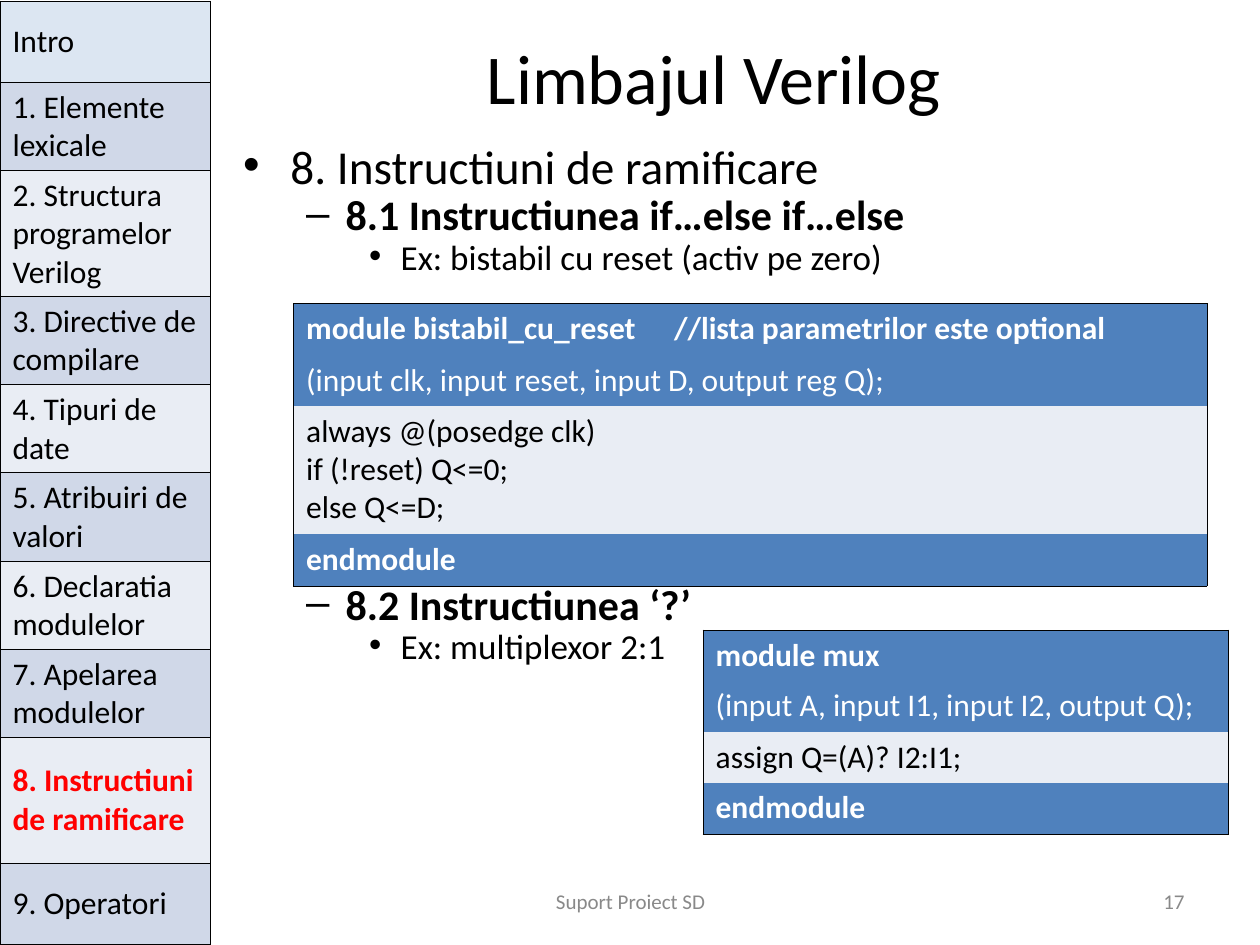
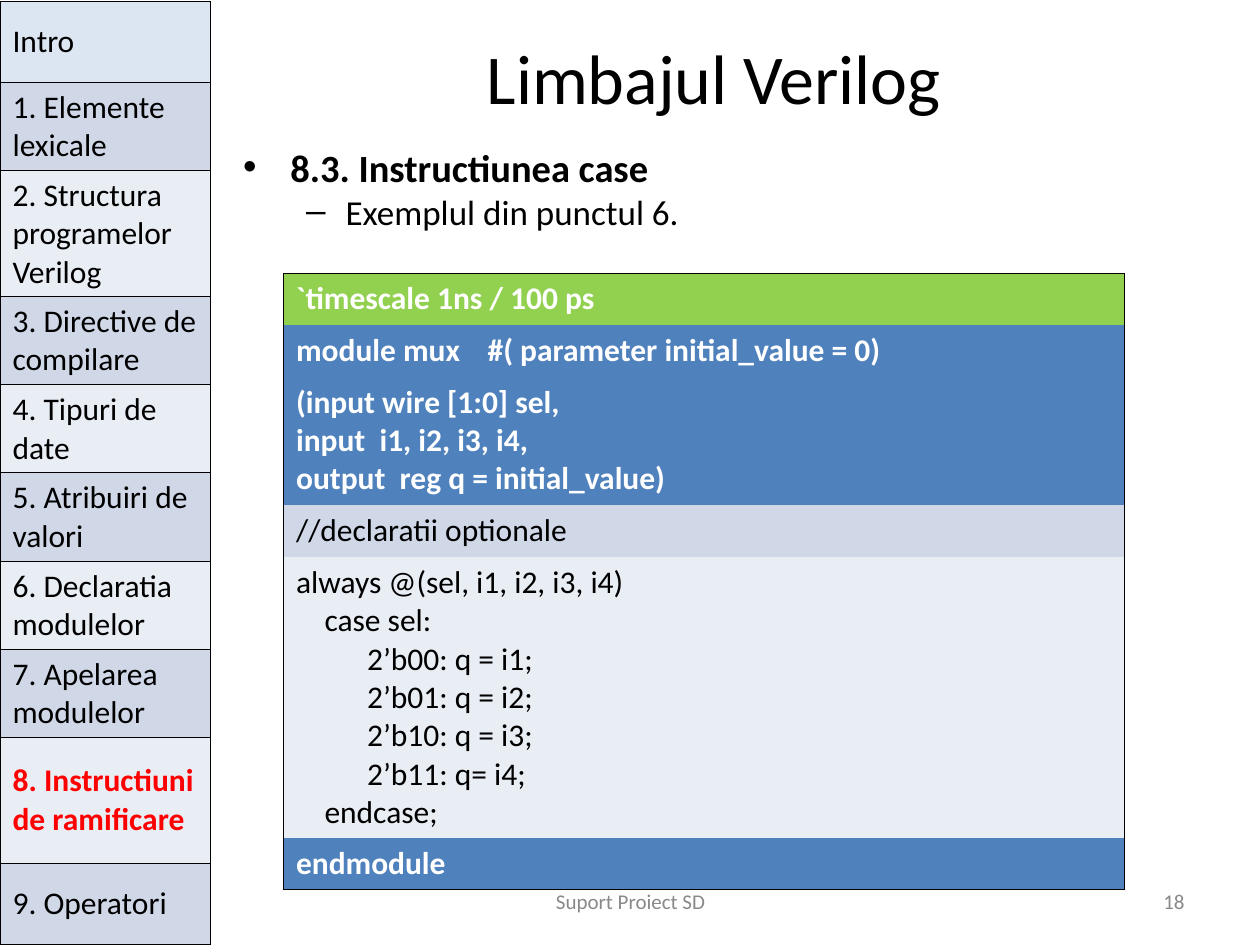
from pptx import Presentation
from pptx.dml.color import RGBColor
from pptx.enum.text import MSO_ANCHOR as Anchor, MSO_AUTO_SIZE as AutoSize, PP_ALIGN as Align
from pptx.oxml.ns import qn
from pptx.util import Inches, Pt
from lxml.etree import SubElement

FONT = "Calibri"
BLACK, WHITE, RED, GREY = "000000", "FFFFFF", "FF0000", "898989"
BLUE, GREEN, INTRO, BAND, PALE = "4F81BD", "92D050", "DCE6F2", "D0D8E8", "E9EDF4"
NO_STYLE = "{2D5ABB26-0587-4C30-8999-92F81FD0307C}"

# Sidebar chapters with row heights; the bands alternate below "Intro"
CHAPTERS = [
    ("Intro", 0.64), ("1. Elemente lexicale", 0.7),
    ("2. Structura programelor Verilog", 1), ("3. Directive de compilare", 0.7),
    ("4. Tipuri de date", 0.7), ("5. Atribuiri de valori", 0.7),
    ("6. Declaratia modulelor", 0.7), ("7. Apelarea modulelor", 0.7),
    ("8. Instructiuni de ramificare", 1), ("9. Operatori", 0.64),
]
CURRENT = 8
sidebar_rows = []
for number, (chapter, height) in enumerate(CHAPTERS):
    fill = INTRO if number == 0 else BAND if number % 2 else PALE
    current = number == CURRENT
    sidebar_rows.append(([chapter], height, fill, RED if current else BLACK, current))
SIDEBAR = (0, 0.01, [1.67], sidebar_rows)

# Code tables: left, top, column widths, rows (cells, height, fill, colour, bold)
END_ROW = (["endmodule"], 0.41, BLUE, WHITE, True)
FLIP_FLOP = (2.33, 2.41, [2.92, 4.33], [
    (["module bistabil_cu_reset", "//lista parametrilor este optional"], 0.41, BLUE, WHITE, True),
    (["(input clk, input reset, input D, output reg Q);"], 0.4, BLUE, WHITE, False),
    (["always @(posedge clk)\nif (!reset) Q<=0;\nelse Q<=D;"], 1.02, PALE, BLACK, False),
    END_ROW,
])
MUX = (5.58, 5, [4.17], [
    (["module mux"], 0.4, BLUE, WHITE, True),
    (["(input A, input I1, input I2, output Q);"], 0.41, BLUE, WHITE, False),
    (["assign Q=(A)? I2:I1;"], 0.4, PALE, BLACK, False),
    END_ROW,
])
CASE_CODE = """always @(sel, i1, i2, i3, i4)
    case sel:
          2’b00: q = i1;
          2’b01: q = i2;
          2’b10: q = i3;
          2’b11: q= i4;
    endcase;"""
CASE_MUX = (2.25, 2.17, [1.52, 5.15], [
    (["`timescale 1ns / 100 ps"], 0.41, GREEN, WHITE, True),
    (["module mux", "#( parameter initial_value = 0)"], 0.41, BLUE, WHITE, True),
    (["(input wire [1:0] sel,\ninput  i1, i2, i3, i4,\noutput  reg q = initial_value)"],
     1.02, BLUE, WHITE, True),
    (["//declaratii optionale"], 0.41, BAND, BLACK, False),
    ([CASE_CODE], 2.23, PALE, BLACK, False),
    END_ROW,
])

# Slides: page, body height, line spacing, points (text, level, size, bold, space before), tables
SLIDES = [
    ("17", 4.75, 0.7, [
        ("8. Instructiuni de ramificare", 0, 27, False, 0),
        ("8.1 Instructiunea if…else if…else", 1, 24, True, 6),
        ("Ex: bistabil cu reset (activ pe zero)", 2, 20, False, 5),
        ("8.2 Instructiunea ‘?’", 1, 24, True, 180.5),
        ("Ex: multiplexor 2:1", 2, 20, False, 5),
    ], [FLIP_FLOP, MUX]),
    ("18", 0.75, 0.8, [
        ("8.3. Instructiunea case", 0, 22, True, 0),
        ("Exemplul din punctul 6.", 1, 20, False, 5),
    ], [CASE_MUX]),
]


def style(paragraph, size, colour, bold=False):
    font = paragraph.font
    for target in [font] + [run.font for run in paragraph.runs]:
        target.name, target.size, target.bold = FONT, Pt(size), bold
        target.color.rgb = RGBColor.from_string(colour)


def fill_cell(cell, text, fill, colour, bold, edges):
    cell.text_frame.text = text
    for paragraph in cell.text_frame.paragraphs:
        style(paragraph, 18, colour, bold)
    properties = cell._tc.get_or_add_tcPr()
    for side in "LRTB":
        if side in edges:
            line = SubElement(properties, qn("a:ln" + side), w=str(Pt(0.45)))
            solid = SubElement(line, qn("a:solidFill"))
            SubElement(solid, qn("a:srgbClr"), val=BLACK)
    cell.fill.solid()
    cell.fill.fore_color.rgb = RGBColor.from_string(fill)


prs = Presentation()
prs.slide_width, prs.slide_height = Inches(10), Inches(7.5)

for page, body_height, line_spacing, points, code_tables in SLIDES:
    slide = prs.slides.add_slide(prs.slide_layouts[1])

    # Title
    title = slide.shapes.title
    title.left, title.top, title.width, title.height = map(Inches, (1.83, 0.3, 7.67, 0.62))
    title.text_frame.text = "Limbajul Verilog"
    title.text_frame.auto_size = AutoSize.NONE
    title.text_frame.vertical_anchor = Anchor.MIDDLE
    heading = title.text_frame.paragraphs[0]
    heading.alignment = Align.CENTER
    style(heading, 40, BLACK)

    # Outline
    outline = slide.placeholders[1]
    outline.left, outline.top, outline.width, outline.height = map(
        Inches, (1.83, 1.16, 7.67, body_height))
    outline.text_frame.text = "\n".join(point[0] for point in points)
    outline.text_frame.auto_size = AutoSize.NONE
    for paragraph, (_, level, size, bold, before) in zip(outline.text_frame.paragraphs, points):
        paragraph.level = level
        paragraph.line_spacing = line_spacing
        paragraph.space_before = Pt(before)
        style(paragraph, size, BLACK, bold)

    # Footer and page number
    for left, width, text, alignment in [(3.42, 3.17, "Suport Proiect SD", Align.CENTER),
                                         (7.17, 2.33, page, Align.RIGHT)]:
        footer = slide.shapes.add_textbox(Inches(left), Inches(6.95), Inches(width), Inches(0.4))
        footer.text_frame.word_wrap = True
        footer.text_frame.vertical_anchor = Anchor.MIDDLE
        footer.text_frame.text = text
        footer.text_frame.paragraphs[0].alignment = alignment
        style(footer.text_frame.paragraphs[0], 12, GREY)

    # Sidebar and code tables
    for listing in [SIDEBAR] + code_tables:
        left, top, widths, rows = listing
        frame = slide.shapes.add_table(
            len(rows), len(widths), Inches(left), Inches(top),
            Inches(sum(widths)), Inches(sum(row[1] for row in rows)))
        table = frame.table
        table.first_row = table.horz_banding = False
        next(frame.element.iter(qn("a:tableStyleId"))).text = NO_STYLE
        for column, width in zip(table.columns, widths):
            column.width = Inches(width)

        for r, (texts, height, fill, colour, bold) in enumerate(rows):
            table.rows[r].height = Inches(height)
            if len(texts) < len(widths):
                table.cell(r, 0).merge(table.cell(r, len(widths) - 1))
            for c, text in enumerate(texts):
                edges = "L" if c == 0 else ""
                edges += "R" if c == len(texts) - 1 else ""
                edges += "T" if r == 0 or listing is SIDEBAR else ""
                edges += "B" if r == len(rows) - 1 or listing is SIDEBAR else ""
                cell = table.cell(r, c)
                fill_cell(cell, text, fill, colour, bold, edges)
                cell.vertical_anchor = Anchor.MIDDLE if listing is SIDEBAR else Anchor.TOP

prs.save("out.pptx")
